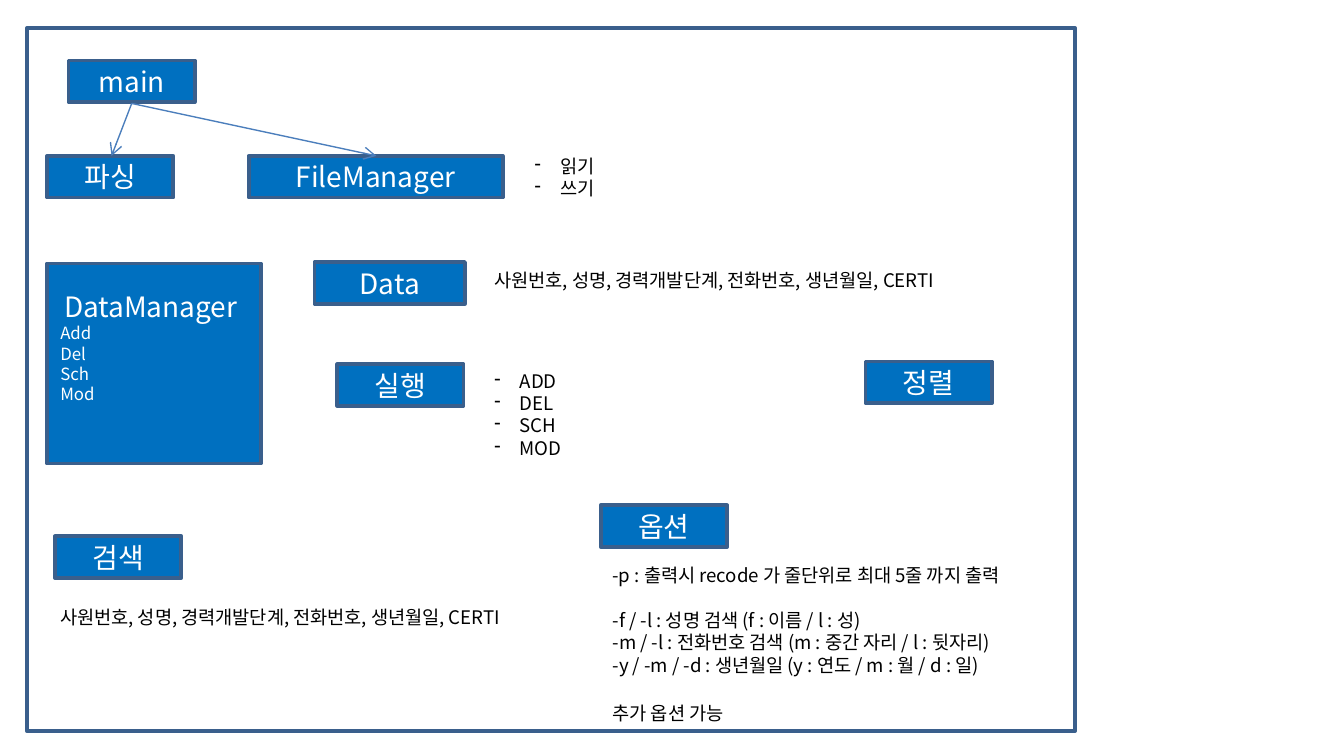
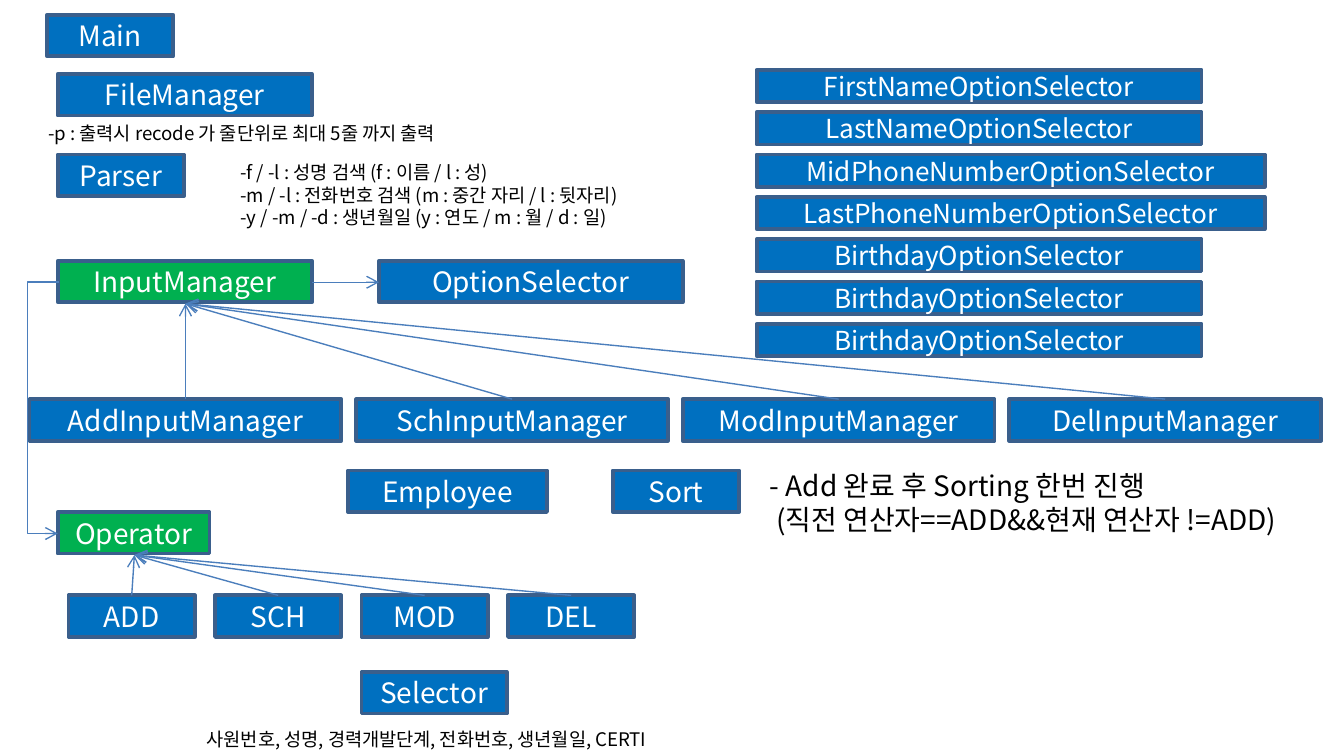
import pptx
import pptx.util
import pptx.dml.color
import pptx.enum.shapes
import pptx.enum.text
import pptx.oxml.ns
from dataclasses import dataclass
from lxml import etree
from pptx.util import Inches


@dataclass(frozen=True)
class Theme:
    blue: str = "0070C0"
    green: str = "00B050"
    border: str = "3A5F8C"
    arrow: str = "4B7EBC"
    white: str = "FFFFFF"
    black: str = "000000"
    font: str = "Noto Sans CJK KR"
    label: int = 15
    option: int = 14
    note: int = 10
    method: int = 9
    leading: float = 1.2
    border_width: float = 2
    arrow_width: float = 0.75


theme = Theme()
color = pptx.dml.color.RGBColor.from_string
qn = pptx.oxml.ns.qn
align = pptx.enum.text.PP_ALIGN
connectors = pptx.enum.shapes.MSO_CONNECTOR
rectangle = pptx.enum.shapes.MSO_SHAPE.RECTANGLE
box_height = 0.31
small = 0.94

# Wording used on both slides
fields = ["사원번호, 성명, 경력개발단계, 전화번호, 생년월일, CERTI"]
print_option = ["-p : 출력시 recode 가 줄단위로 최대 5줄 까지 출력"]
search_options = [
    "-f / -l : 성명 검색 (f : 이름 / l : 성)\n-m / -l : 전화번호 검색 (m : 중간 자리 / l : 뒷자리)",
    "-y / -m / -d : 생년월일 (y : 연도 / m : 월 / d : 일)",
]


def add_words(page, lines, left, top, width, height=box_height, fill=None,
              size=theme.label, bullets=False, wrap=True):
    """Add a bordered box when a fill is given, else a plain text box."""
    place = Inches(left), Inches(top), Inches(width), Inches(height)
    if fill:
        box = page.shapes.add_shape(rectangle, *place)
        box.shadow.inherit = False
        box.fill.solid()
        box.fill.fore_color.rgb = color(fill)
        box.line.color.rgb = color(theme.border)
        box.line.width = pptx.util.Pt(theme.border_width)
        box.text_frame.vertical_anchor = pptx.enum.text.MSO_ANCHOR.MIDDLE
    else:
        box = page.shapes.add_textbox(*place)
        box.text_frame.auto_size = pptx.enum.text.MSO_AUTO_SIZE.SHAPE_TO_FIT_TEXT
    frame = box.text_frame
    frame.word_wrap = wrap
    for index, line in enumerate(lines):
        para = frame.add_paragraph() if index else frame.paragraphs[0]
        para.text = line
        para.alignment = align.CENTER if fill else align.LEFT
        para.line_spacing = pptx.util.Pt(size * theme.leading)
        para.font.size = pptx.util.Pt(size)
        para.font.name = theme.font
        para.font.color.rgb = color(theme.white if fill else theme.black)
        properties = para.font._element
        etree.SubElement(properties, qn("a:ea")).set("typeface", theme.font)
        if bullets:
            settings = properties.getparent()
            settings.set("marL", str(Inches(0.19)))
            settings.set("indent", str(-Inches(0.19)))
            mark = etree.Element(qn("a:buChar"), char="-")
            properties.addprevious(mark)
    return box


def add_arrow(page, start, end, kind=connectors.STRAIGHT):
    """Add a thin connector with an open arrowhead at its end."""
    arrow = page.shapes.add_connector(kind, *(Inches(value) for value in (*start, *end)))
    arrow.line.color.rgb = color(theme.arrow)
    arrow.line.width = pptx.util.Pt(theme.arrow_width)
    etree.SubElement(arrow.line._get_or_add_ln(), qn("a:tailEnd")).set("type", "arrow")
    etree.SubElement(arrow._element.spPr, qn("a:effectLst"))
    return arrow


# Widescreen deck, 16 to 9
deck = pptx.Presentation()
deck.slide_width = Inches(10)
deck.slide_height = Inches(10 * 9 / 16)
blank = deck.slide_layouts[6]

# Slide 1: first design
page = deck.slides.add_slide(blank)
for label, left, top, width in [
    ("main", 0.51, 0.45, small),
    ("파싱", 0.35, 1.16, small),
    ("FileManager", 1.85, 1.16, 1.89),
    ("검색", 0.41, 3.99, small),
    ("실행", 2.51, 2.71, small),
    ("옵션", 4.47, 3.76, small),
    ("Data", 2.34, 1.95, 1.12),
    ("정렬", 6.44, 2.69, small),
]:
    add_words(page, [label], left, top, width, fill=theme.blue)

# DataManager with its methods
manager = add_words(page, ["DataManager ", "Add", "Del", "Sch\nMod"],
                    0.35, 1.96, 1.59, 1.49, fill=theme.blue)
manager.text_frame.margin_bottom = Inches(0.3)
for para in manager.text_frame.paragraphs[1:]:
    para.alignment = align.LEFT
    para.font.size = pptx.util.Pt(theme.method)
    para.line_spacing = pptx.util.Pt(theme.method * theme.leading)

for target in (0.83, 2.8):
    add_arrow(page, (0.98, 0.77), (target, 1.16))

# Notes
for lines, left, top, width, height, bullets in [
    (fields, 0.35, 4.46, 3.77, 0.27, False),
    (print_option, 4.46, 4.15, 3.43, 0.27, False),
    (search_options, 4.46, 4.48, 3.39, 0.61, False),
    (["추가 옵션 가능"], 4.46, 5.17, 1.14, 0.27, False),
    (["ADD", "DEL", "SCH", "MOD"], 3.58, 2.7, 0.73, 0.77, True),
    (fields, 3.58, 1.95, 3.77, 0.27, False),
    (["읽기", "쓰기"], 3.88, 1.1, 0.67, 0.44, True),
]:
    add_words(page, lines, left, top, width, height,
              size=theme.note, bullets=bullets, wrap=False)

# Frame around the design
border = page.shapes.add_shape(rectangle, Inches(0.2), Inches(0.21), Inches(7.8), Inches(5.23))
border.shadow.inherit = False
border.fill.background()
border.line.color.rgb = color(theme.border)
border.line.width = pptx.util.Pt(theme.border_width)

# Slide 2: class design
page = deck.slides.add_slide(blank)
for label, left, top, width, fill in [
    ("Main", 0.35, 0.11, small, theme.blue),
    ("FileManager", 0.43, 0.55, 1.89, theme.blue),
    ("Parser", 0.43, 1.15, small, theme.blue),
    ("InputManager", 0.43, 1.94, 1.89, theme.green),
    ("OptionSelector", 2.82, 1.94, 2.26, theme.blue),
    ("Employee", 2.59, 3.5, 1.48, theme.blue),
    ("Sort", 4.56, 3.5, small, theme.blue),
    ("Operator", 0.43, 3.81, 1.13, theme.green),
    ("Selector", 2.69, 5, 1.08, theme.blue),
]:
    add_words(page, [label], left, top, width, fill=fill)

# Subclasses in even rows, each pointing at its base class
for names, suffix, left, step, top, width, base in [
    (["Add", "Sch", "Mod", "Del"], "InputManager", 0.22, 2.43, 2.97, 2.32, (1.38, 2.26)),
    (["ADD", "SCH", "MOD", "DEL"], "", 0.51, 1.09, 4.43, small, (1, 4.13)),
]:
    for index, name in enumerate(names):
        place = left + index * step
        add_words(page, [name + suffix], place, top, width, fill=theme.blue)
        add_arrow(page, (place + width / 2, top), base)

# Links from InputManager
add_arrow(page, (2.32, 2.1), (2.82, 2.1))
elbow = add_arrow(page, (0.44, 2.1), (0.43, 3.97), connectors.ELBOW)
guides = elbow._element.spPr.find(qn("a:prstGeom")).get_or_add_avLst()
etree.SubElement(guides, qn("a:gd"), name="adj1", fmla="val 2400000")

# Option selectors stacked at equal steps
for index, (name, width) in enumerate([
    ("FirstName", 3.31),
    ("LastName", 3.31),
    ("MidPhoneNumber", 3.78),
    ("LastPhoneNumber", 3.78),
    ("Birthday", 3.31),
    ("Birthday", 3.31),
    ("Birthday", 3.31),
]):
    add_words(page, [name + "OptionSelector"], 5.63, 0.52 + index * 1.89 / 6, width, 0.24,
              fill=theme.blue, size=theme.option)

# Notes
for lines, left, top, width, height in [
    (fields, 1.44, 5.37, 3.77, 0.27),
    (search_options, 1.69, 1.15, 3.39, 0.61),
    (print_option, 0.26, 0.86, 3.43, 0.27),
]:
    add_words(page, lines, left, top, width, height, size=theme.note, wrap=False)
add_words(page, ["- Add 완료 후 Sorting 한번 진행\n (직전 연산자==ADD&&현재 연산자 !=ADD)"],
          5.63, 3.44, 4.38, 0.61)

deck.save("out.pptx")
